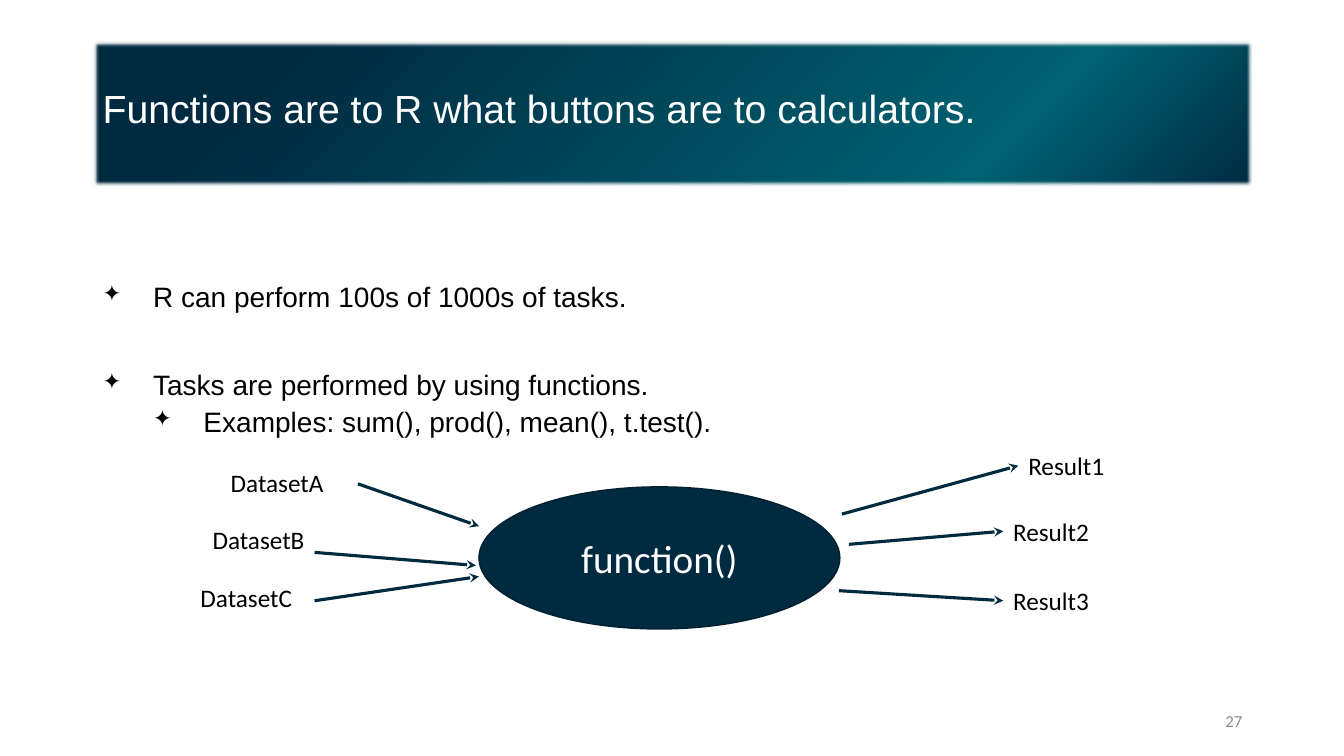
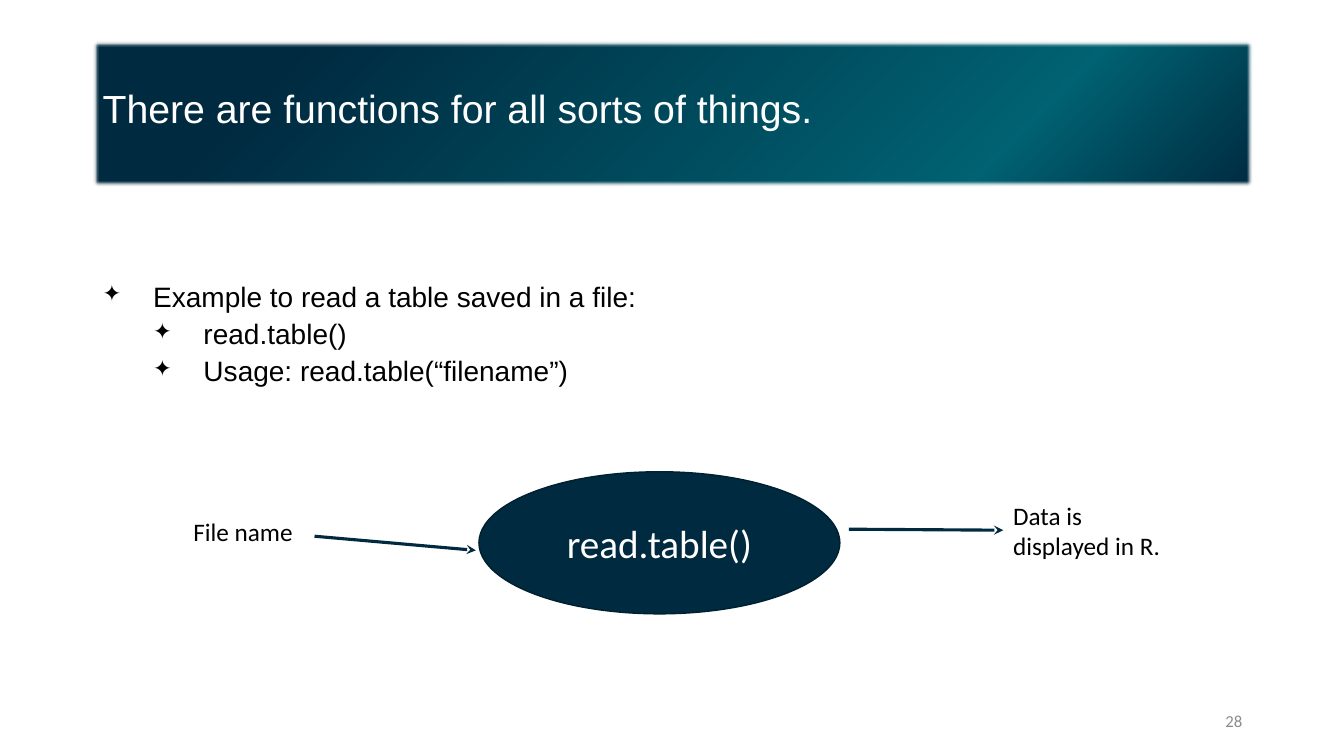
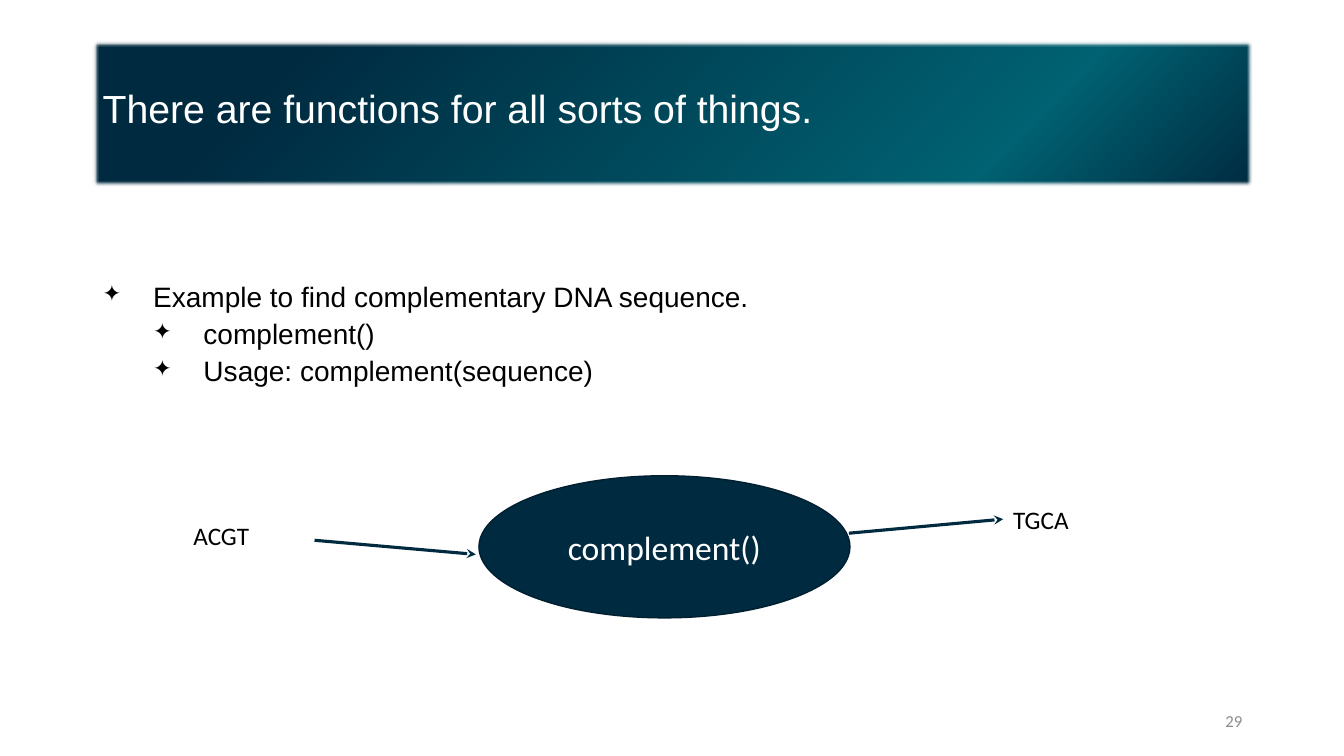
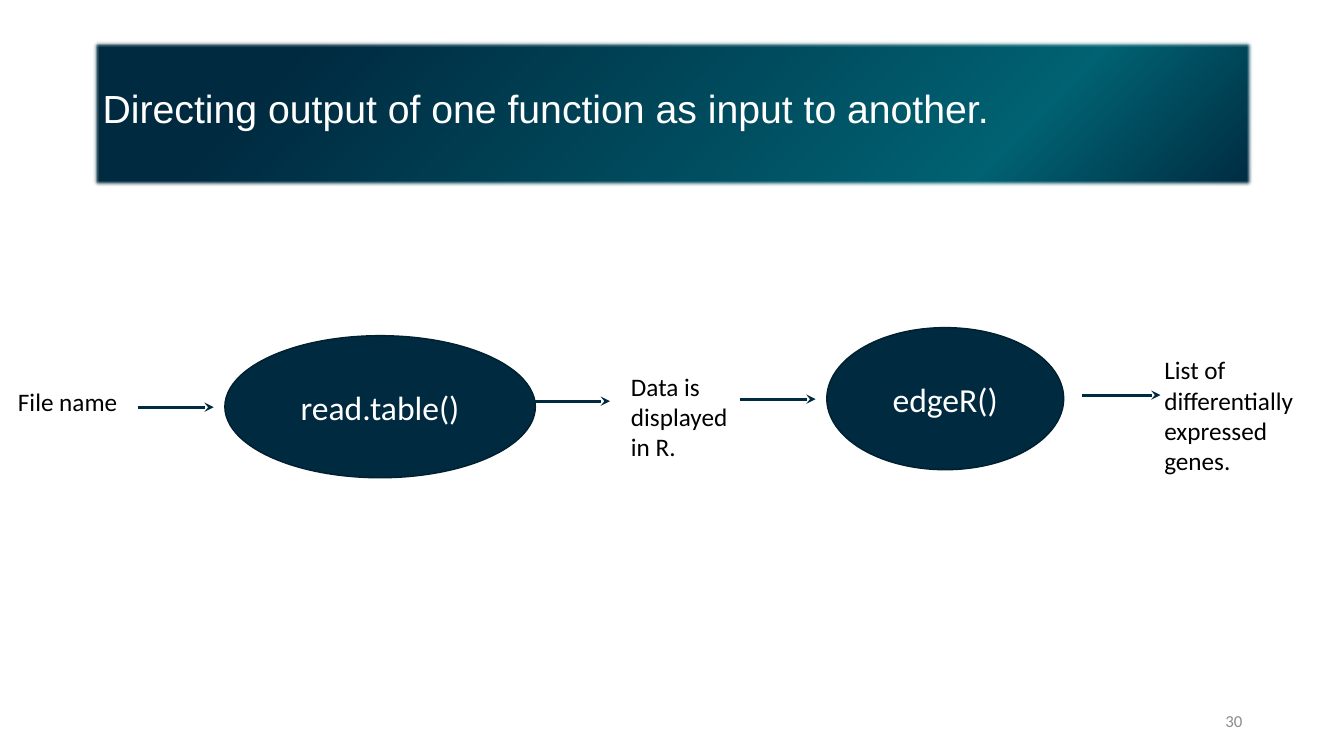
from lxml import etree
from pptx import Presentation, util as u
from pptx.dml.color import RGBColor
from pptx.enum import shapes, text
from pptx.oxml import parse_xml
from pptx.oxml.ns import nsdecls, qn

PX = 9144
COLOURS = {"navy": "002A40", "teal": "006272", "outline": "001F2F",
           "white": "FFFFFF", "black": "000000", "grey": "8C8C8C"}
BAND_STOPS = [(0, "navy"), (22, "teal"), (83, "navy"), (100, "navy")]
BAND = (92, 40, 1150, 145)
BODY = (92, 261, 1176, 213)
PAGE_NUMBER = (942, 695, 300, 40)
FIRST_PAGE = 27
OVAL_HEIGHT = 141
LEFT_SIDE = 1

# bullets: (level, space before in points, wording)
# functions: (name, left, top, width, text size)
# labels: (wording, left, top, width, number of lines)
# arrows: (start, end), where an end is a point or the label it joins
SLIDES = [
    {"title": "Functions are to R what buttons are to calculators.",
     "bullets": [(0, 0, "R can perform 100s of 1000s of tasks."),
                 (0, 41, "Tasks are performed by using functions."),
                 (1, 5, "Examples: sum(), prod(), mean(), t.test().")],
     "functions": [("function()", 475, 483, 358, 28)],
     "labels": [("DatasetA", 219, 459, 166, 1), ("DatasetB", 201, 515, 166, 1),
                ("DatasetC", 189, 573, 166, 1), ("Result1", 1010, 442, 171, 1),
                ("Result2", 995, 507, 171, 1), ("Result3", 995, 576, 171, 1)],
     "arrows": [((355, 480), (475, 522)), ((312, 548), (472, 561)),
                ((312, 596), (475, 572)), ((835, 510), "Result1"),
                ((842, 540), "Result2"), ((832, 586), "Result3")]},
    {"title": "There are functions for all sorts of things.",
     "bullets": [(0, 0, "Example to read a table saved in a file:"),
                 (1, 5, "read.table()"),
                 (1, 5, "Usage: read.table(“filename”)")],
     "functions": [("read.table()", 475, 468, 358, 28)],
     "labels": [("File name", 182, 507, 166, 1),
                ("Data is displayed in R.", 995, 491, 171, 2)],
     "arrows": [((312, 532), (472, 546)),
                ((842, 525), "Data is displayed in R.")]},
    {"title": "There are functions for all sorts of things.",
     "bullets": [(0, 0, "Example to find complementary DNA sequence."),
                 (1, 5, "complement()"),
                 (1, 5, "Usage: complement(sequence)")],
     "functions": [("complement()", 475, 472, 368, 24)],
     "labels": [("ACGT", 182, 511, 166, 1), ("TGCA", 995, 495, 171, 1)],
     "arrows": [((312, 536), (472, 550)), ((842, 529), "TGCA")]},
    {"title": "Directing output of one function as input to another.",
     "bullets": [],
     "functions": [("read.table()", 223, 333, 308, 24),
                   ("edgeR()", 820, 325, 235, 24)],
     "labels": [("File name", 8, 378, 187, 1),
                ("Data is displayed in R.", 616, 363, 118, 3),
                ("List of differentially expressed genes.", 1145, 347, 174, 4)],
     "arrows": [((137, 404), (212, 404)), ((527, 398), (605, 398)),
                ((734, 396), (809, 396)), ((1073, 392), (1151, 392))]},
]


def emu(*lengths):
    return [u.Emu(length * PX) for length in lengths]


def rgb(name):
    return RGBColor.from_string(COLOURS[name])


def style(paragraph, size, colour, font="Calibri", align=text.PP_ALIGN.LEFT):
    paragraph.alignment = align
    paragraph.font.size = u.Pt(size)
    paragraph.font.name = font
    paragraph.font.color.rgb = rgb(colour)


def set_insets(frame, left, top, right, bottom):
    (frame.margin_left, frame.margin_top,
     frame.margin_right, frame.margin_bottom) = emu(left, top, right, bottom)


def add_text(slide, box, wording, size, colour, **styling):
    frame = slide.shapes.add_textbox(*emu(*box)).text_frame
    frame.word_wrap = True
    frame.text = wording
    style(frame.paragraphs[0], size, colour, **styling)
    return frame


def add_title(slide, wording):
    """Title on a soft-edged band shaded from its bottom right corner."""
    band = slide.shapes.add_shape(shapes.MSO_SHAPE.RECTANGLE, *emu(*BAND))
    band.line.fill.background()
    stops = "".join(f'<a:gs pos="{at * 1000}"><a:srgbClr val="{COLOURS[name]}"/></a:gs>'
                    for at, name in BAND_STOPS)
    properties = band.fill._xPr
    properties.find(qn("a:prstGeom")).addnext(parse_xml(
        f'<a:gradFill {nsdecls("a")} rotWithShape="1"><a:gsLst>{stops}</a:gsLst>'
        '<a:path path="circle"><a:fillToRect l="100000" t="100000"/></a:path>'
        '</a:gradFill>'))
    band.shadow.inherit = False
    soft_edge = etree.SubElement(properties.find(qn("a:effectLst")), qn("a:softEdge"))
    soft_edge.set("rad", "31750")
    frame = band.text_frame
    frame.word_wrap = True
    frame.vertical_anchor = text.MSO_ANCHOR.MIDDLE
    set_insets(frame, 10, 0, 10, 5)
    frame.text = wording
    frame.paragraphs[0].line_spacing = 0.9
    style(frame.paragraphs[0], 28, "white", "Arial")


def add_bullets(slide, bullets):
    frame = slide.shapes.add_textbox(*emu(*BODY)).text_frame
    frame.word_wrap = True
    set_insets(frame, 10, 20, 0, 5)
    frame.text = "\n".join(wording for _, _, wording in bullets)
    for paragraph, (level, space, _) in zip(frame.paragraphs, bullets):
        paragraph.level = level
        paragraph.line_spacing = 0.9
        paragraph.space_before = u.Pt(space)
        properties = paragraph._p.get_or_add_pPr()
        properties.set("marL", str(50 * (level + 1) * PX))
        properties.set("indent", str(-50 * PX))
        etree.SubElement(properties, qn("a:buSzPct")).set("val", "80000")
        etree.SubElement(properties, qn("a:buChar")).set("char", "✦")
        style(paragraph, 20, "black", "Arial")


def add_function(slide, name, left, top, width, size):
    oval = slide.shapes.add_shape(shapes.MSO_SHAPE.OVAL,
                                  *emu(left, top, width, OVAL_HEIGHT))
    oval.shadow.inherit = False
    oval.fill.solid()
    oval.fill.fore_color.rgb = rgb("navy")
    oval.line.color.rgb = rgb("outline")
    oval.line.width = u.Pt(1)
    frame = oval.text_frame
    frame.word_wrap = True
    frame.vertical_anchor = text.MSO_ANCHOR.MIDDLE
    frame.text = name
    style(frame.paragraphs[0], size, "white", align=text.PP_ALIGN.CENTER)


def add_label(slide, wording, left, top, width, lines):
    frame = add_text(slide, (left, top, width, 10 + 30 * lines), wording, 18, "black")
    frame.auto_size = text.MSO_AUTO_SIZE.SHAPE_TO_FIT_TEXT
    return slide.shapes[-1]


def add_arrow(slide, start, end, labels):
    joined = labels.get(end)
    arrow = slide.shapes.add_connector(shapes.MSO_CONNECTOR.STRAIGHT,
                                       *emu(*start, *(start if joined else end)))
    if joined:
        arrow.end_connect(joined, LEFT_SIDE)
    arrow.line.color.rgb = rgb("navy")
    arrow.line.width = u.Pt(2.25)
    etree.SubElement(arrow.line._get_or_add_ln(), qn("a:tailEnd")).set("type", "stealth")
    etree.SubElement(arrow._element.spPr, qn("a:effectLst"))


def main():
    deck = Presentation()
    deck.slide_width, deck.slide_height = u.Inches(13.33), u.Inches(7.5)
    for page, content in enumerate(SLIDES, FIRST_PAGE):
        slide = deck.slides.add_slide(deck.slide_layouts[6])
        add_title(slide, content["title"])
        if content["bullets"]:
            add_bullets(slide, content["bullets"])
        for function in content["functions"]:
            add_function(slide, *function)
        labels = {label[0]: add_label(slide, *label) for label in content["labels"]}
        for start, end in content["arrows"]:
            add_arrow(slide, start, end, labels)
        number = add_text(slide, PAGE_NUMBER, str(page), 12, "grey",
                          align=text.PP_ALIGN.RIGHT)
        number.vertical_anchor = text.MSO_ANCHOR.MIDDLE
    deck.save("out.pptx")


if __name__ == "__main__":
    main()
